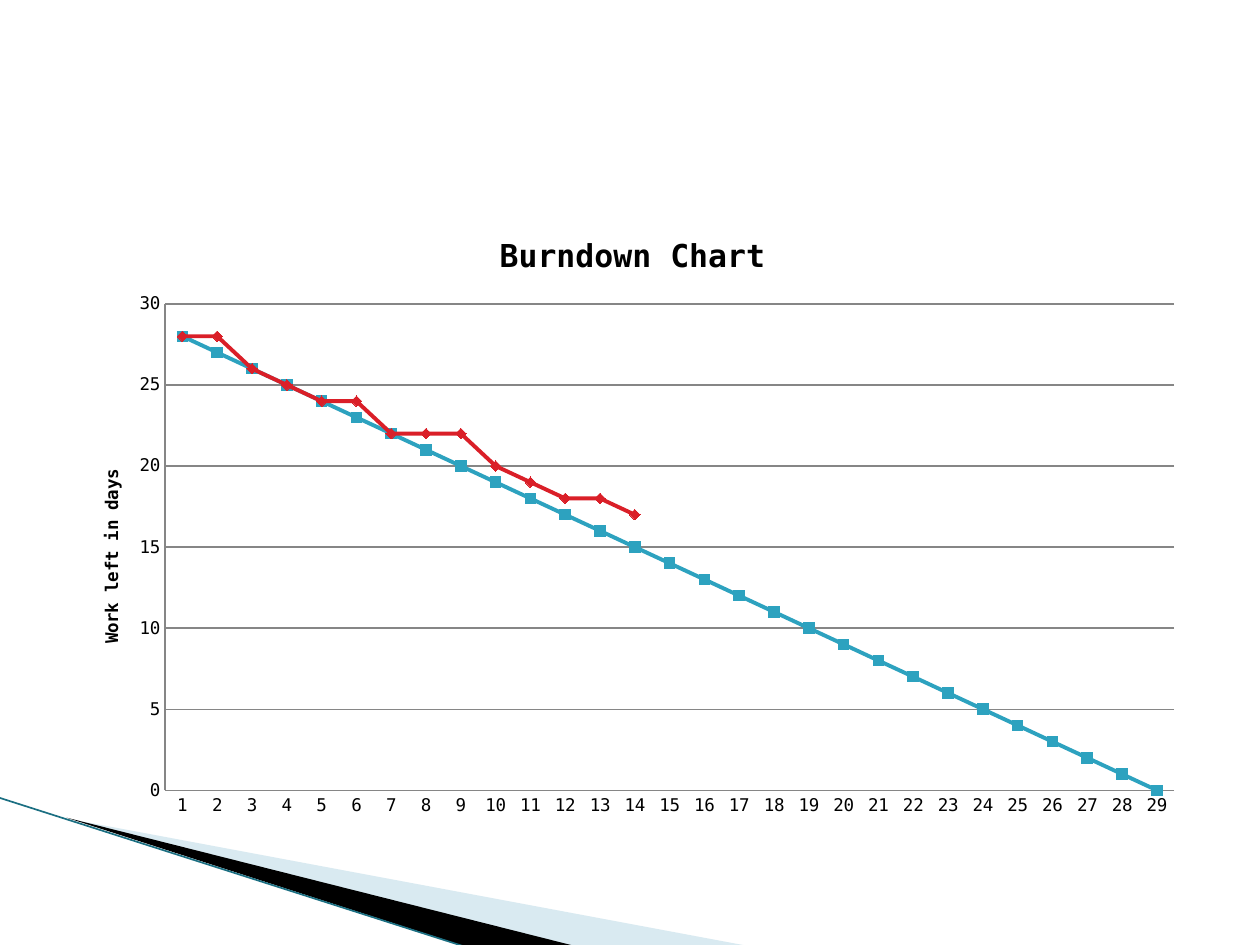
import pptx
import pptx.chart.data
import pptx.dml.color
import pptx.enum.chart
import pptx.enum.shapes
import pptx.oxml.ns
import pptx.oxml.xmlchemy
import pptx.util
from pptx.util import Inches

COLORS = {
    "text": "000000",
    "pale": "A0CBDC",
    "wedge": "000000",
    "edge": "1B6F82",
    "grid": "868686",
    "plan": "2DA2BF",
    "actual": "DA1F28",
}


def new_element(tag, value=None):
    """Create an XML element, with a val attribute if a value is given."""
    element = pptx.oxml.xmlchemy.OxmlElement(tag)
    if value is not None:
        element.set("val", str(value))
    return element


class BurndownSlide:
    """Holds the style and the current slide."""

    font = "DejaVu Sans Mono"

    def __init__(self, page):
        """Keep the slide that receives the elements."""
        self.page = page

    def color(self, name):
        """Return a named colour."""
        return pptx.dml.color.RGBColor.from_string(COLORS[name])

    def style_font(self, font, size, bold=False):
        """Apply the slide's typeface and text colour."""
        font.name = self.font
        font.size = pptx.util.Pt(size)
        font.bold = bold
        font.color.rgb = self.color("text")

    def style_line(self, line, color, width):
        """Colour a line and set its width in points."""
        line.color.rgb = self.color(color)
        line.width = pptx.util.Pt(width)

    def polygon(self, points, color, opacity=100):
        """Draw a filled outline without a border."""
        corners = [(Inches(x), Inches(y)) for x, y in points]
        builder = self.page.shapes.build_freeform(*corners[0])
        builder.add_line_segments(corners[1:], close=True)
        shape = builder.convert_to_shape()
        shape.shadow.inherit = False
        shape.fill.solid()
        shape.fill.fore_color.rgb = self.color(color)
        shape.line.fill.background()
        if opacity < 100:
            tint = shape._element.spPr.find(".//" + pptx.oxml.ns.qn("a:srgbClr"))
            tint.append(new_element("a:alpha", opacity * 1000))

    def line(self, start, end, color, width):
        """Draw a straight line."""
        ends = [Inches(value) for value in (*start, *end)]
        connector = self.page.shapes.add_connector(
            pptx.enum.shapes.MSO_CONNECTOR.STRAIGHT, *ends)
        self.style_line(connector.line, color, width)
        connector._element.spPr.append(new_element("a:effectLst"))

    def place(self, element, index, **parts):
        """Give a chart part a manual position as fractions of the chart."""
        for old in element.findall(pptx.oxml.ns.qn("c:layout")):
            element.remove(old)
        layout = new_element("c:layout")
        manual = new_element("c:manualLayout")
        layout.append(manual)
        settings = {"xMode": "edge", "yMode": "edge", **parts}
        if "w" in parts:
            settings = {"layoutTarget": "inner", **settings}
        for name, value in settings.items():
            manual.append(new_element("c:" + name, value))
        element.insert(index, layout)

    def chart_title(self, title, text, size, x, y):
        """Write and position a chart or axis title."""
        title.text_frame.text = text
        self.style_font(title.text_frame.paragraphs[0].runs[0].font, size, True)
        self.place(title._element, 1, x=x, y=y)

    def line_chart(self, box, categories, series, title, axis_title):
        """Add a line chart with markers; series maps name to values and style."""
        data = pptx.chart.data.CategoryChartData()
        data.categories = categories
        for name, (values, *_) in series.items():
            data.add_series(name, values)
        chart = self.page.shapes.add_chart(
            pptx.enum.chart.XL_CHART_TYPE.LINE_MARKERS,
            *[Inches(value) for value in box], data).chart
        chart.has_legend = False
        self.style_font(chart.font, 10)
        chart.has_title = True
        self.chart_title(chart.chart_title, title, 18, 0.38, 0.04)
        plot_area = chart._chartSpace.chart.plotArea
        self.place(plot_area, 0, x=0.09, y=0.16, w=0.89, h=0.78)

        for axis in (chart.category_axis, chart.value_axis):
            axis.major_tick_mark = pptx.enum.chart.XL_TICK_MARK.NONE
            axis.minor_tick_mark = pptx.enum.chart.XL_TICK_MARK.NONE
            self.style_line(axis.format.line, "grid", 0.75)
            self.style_font(axis.tick_labels.font, 10)
        scale = chart.value_axis
        scale.minimum_scale, scale.maximum_scale, scale.major_unit = 0, 30, 5
        scale.has_major_gridlines = True
        self.style_line(scale.major_gridlines.format.line, "grid", 0.75)
        scale.has_title = True
        self.chart_title(scale.axis_title, axis_title, 10, 0.03, 0.42)

        plot = chart.plots[0]
        plot.vary_by_categories = False
        for drawn, (_, color, marker) in zip(plot.series, series.values()):
            drawn.smooth = False
            self.style_line(drawn.format.line, color, 2.25)
            drawn.marker.style = marker
            drawn.marker.size = 6
            drawn.marker.format.fill.solid()
            drawn.marker.format.fill.fore_color.rgb = self.color(color)
            drawn.marker.format.line.fill.background()


def main():
    """Build the burndown slide."""
    deck = pptx.Presentation()
    deck.slide_width, deck.slide_height = Inches(10), Inches(7.5)
    slide = BurndownSlide(deck.slides.add_slide(deck.slide_layouts[6]))

    slide.polygon([(0.55, 6.5), (5.95, 7.51), (4.56, 7.51)], "pale", 40)
    slide.polygon([(0.53, 6.49), (4.57, 7.51), (3.72, 7.52)], "wedge")
    slide.line((-0.01, 6.33), (3.71, 7.52), "edge", 0.95)

    days = 29
    plan = list(range(days - 1, -1, -1))
    actual = [28, 28, 26, 25, 24, 24, 22, 22, 22, 20, 19, 18, 18, 17]
    actual += [None] * (days - len(actual))
    markers = pptx.enum.chart.XL_MARKER_STYLE
    slide.line_chart(
        (0.5, 1.62, 9, 4.95),
        [str(day) for day in range(1, days + 1)],
        {"Series 1": (plan, "plan", markers.SQUARE),
         "Series 2": (actual, "actual", markers.DIAMOND)},
        "Burndown Chart", "Work left in days")
    deck.save("out.pptx")


main()
